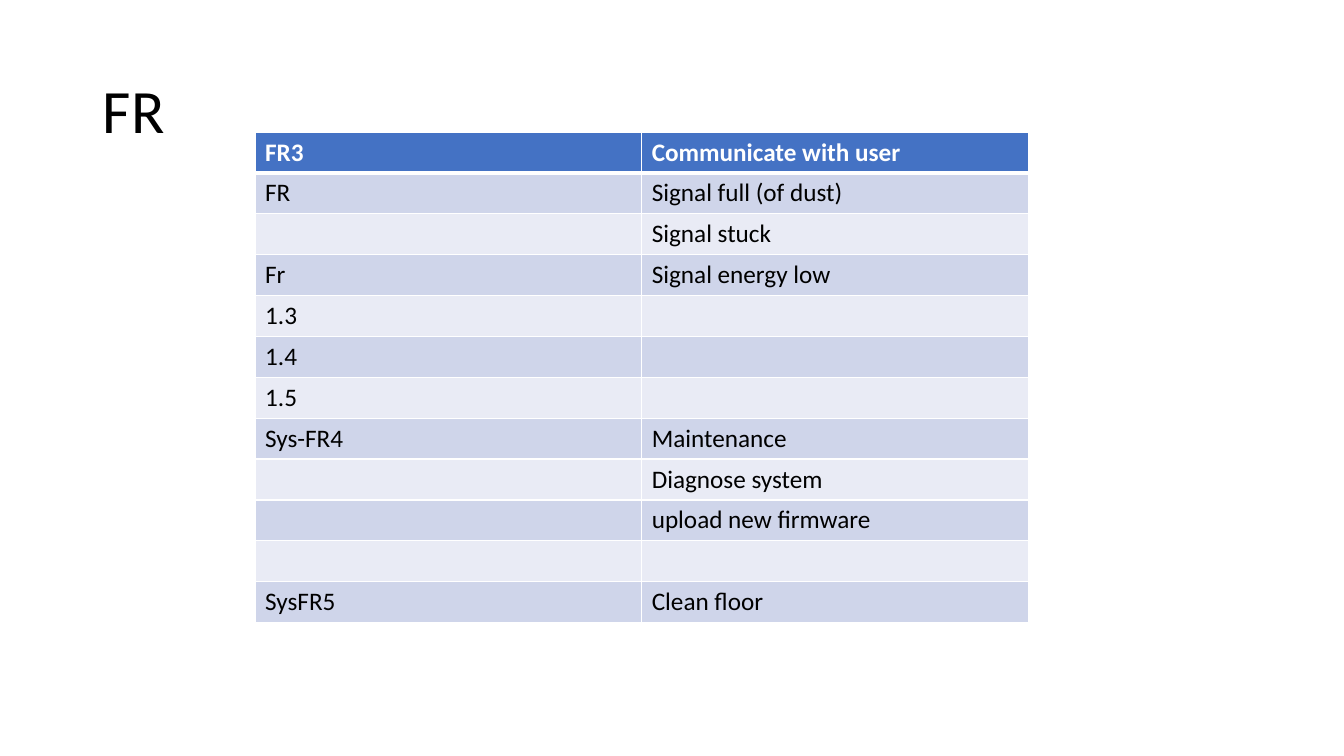
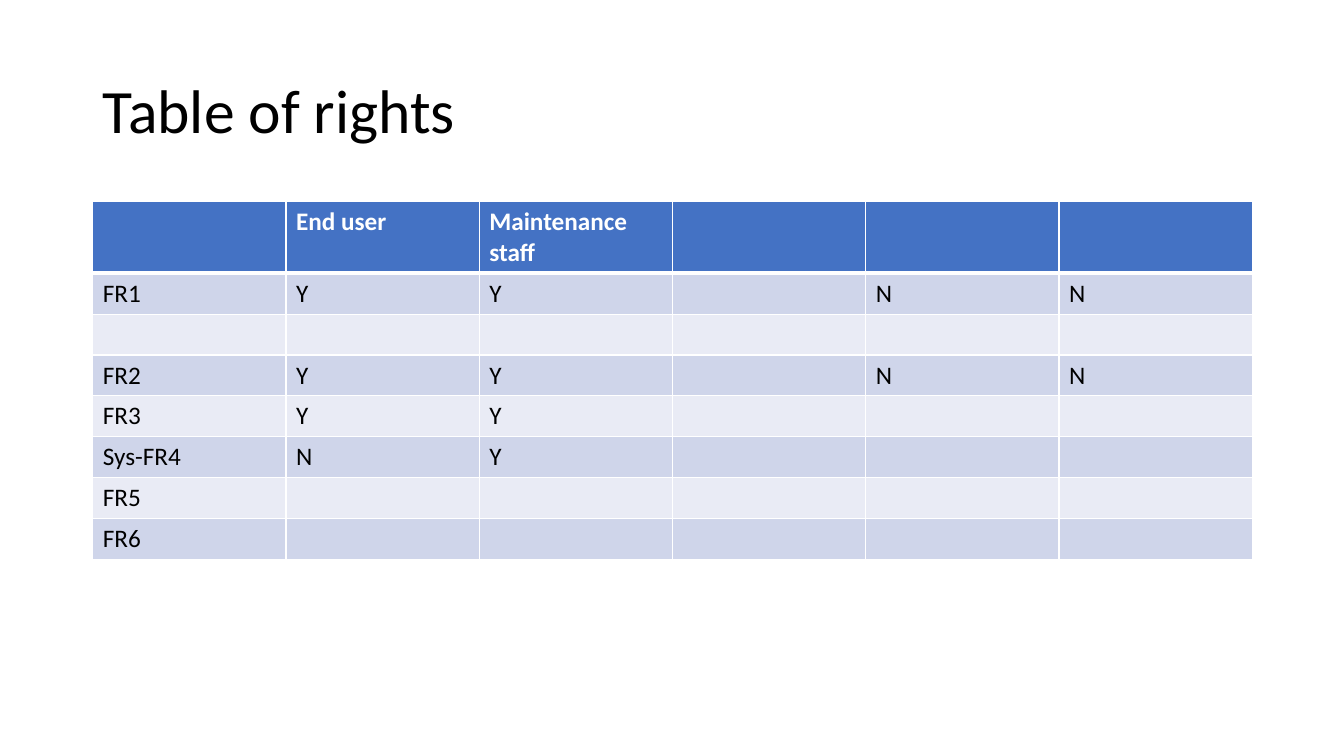
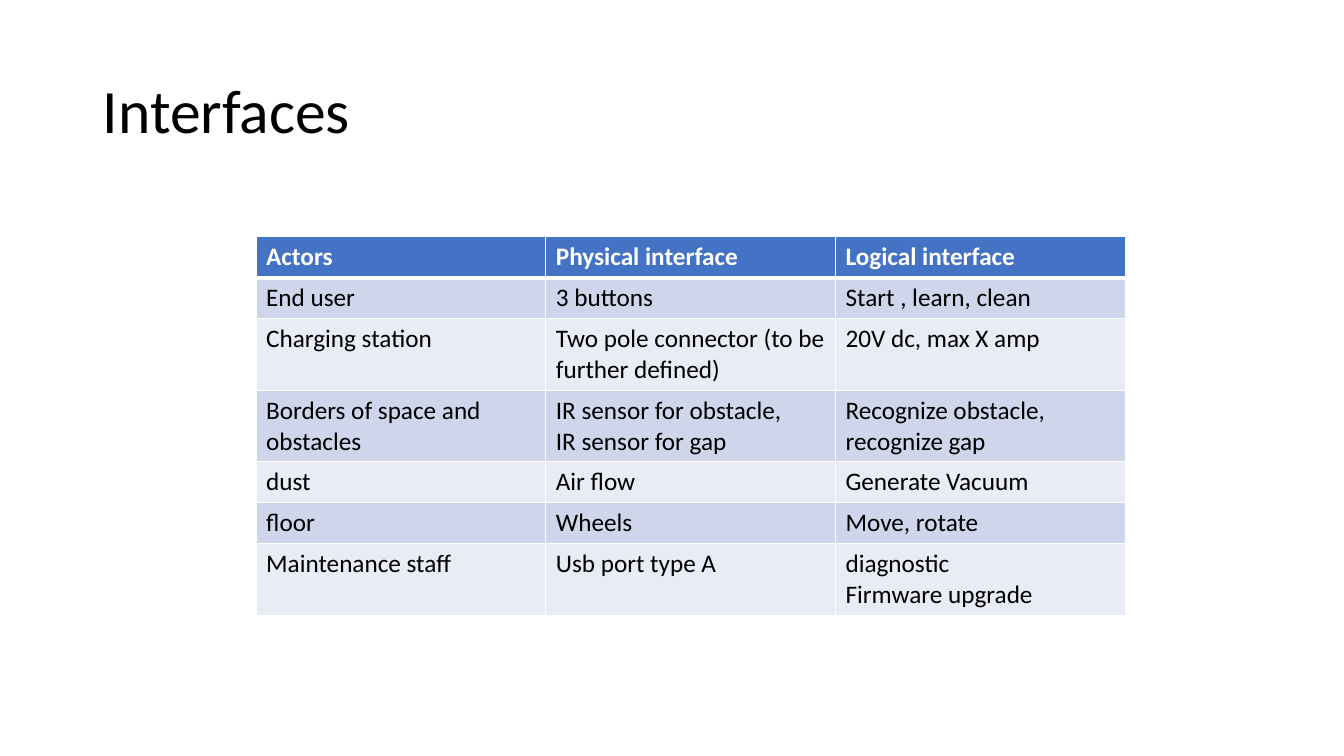
from lxml.etree import SubElement
from pptx import Presentation
from pptx.dml.color import RGBColor
from pptx.enum.text import MSO_ANCHOR, PP_ALIGN
from pptx.oxml.ns import qn
from pptx.util import Inches, Pt

BLACK, WHITE = "000000", "FFFFFF"
HEADER_FILL = "4472C4"
BAND_FILLS = ("CFD5EA", "E9EBF5")
FONT = "Calibri"
TITLE_ONLY = 5
TITLE_FONT = {"name": FONT, "size": Pt(44), "bold": False}
HEADER_FONT = {"name": FONT, "size": Pt(18), "bold": True}
BODY_FONT = {"name": FONT, "size": Pt(18), "bold": False}
TITLE_BOX = {"left": Inches(0.92), "top": Inches(0.4),
             "width": Inches(11.5), "height": Inches(1.45)}
ROW_HEIGHT = Inches(4.87 / 12)
THIN, THICK = Pt(1), Pt(3)

REQUIREMENTS = [
    ("FR3", "Communicate with user"),
    ("FR", "Signal full (of dust)"),
    ("", "Signal stuck"),
    ("Fr", "Signal energy low"),
    ("1.3", ""),
    ("1.4", ""),
    ("1.5", ""),
    ("Sys-FR4", "Maintenance"),
    ("", "Diagnose system"),
    ("", "upload new firmware"),
    ("", ""),
    ("SysFR5", "Clean floor"),
]
RIGHTS = [
    ("", "End user", "Maintenance staff", "", "", ""),
    ("FR1", "Y", "Y", "", "N", "N"),
    ("", "", "", "", "", ""),
    ("FR2", "Y", "Y", "", "N", "N"),
    ("FR3", "Y", "Y", "", "", ""),
    ("Sys-FR4", "N", "Y", "", "", ""),
    ("FR5", "", "", "", "", ""),
    ("FR6", "", "", "", "", ""),
]
INTERFACES = [
    ("Actors", "Physical interface", "Logical interface"),
    ("End user", "3 buttons", "Start , learn, clean"),
    ("Charging station", "Two pole connector (to be further defined)", "20V dc, max X amp"),
    ("Borders of space and obstacles", "IR sensor for obstacle,\nIR sensor for gap",
     "Recognize obstacle, recognize gap"),
    ("dust", "Air flow", "Generate Vacuum"),
    ("floor", "Wheels", "Move, rotate"),
    ("Maintenance staff", "Usb port type A", "diagnostic\nFirmware upgrade"),
]


def color(hex_value):
    return RGBColor.from_string(hex_value)


def set_attributes(target, values):
    for name, value in values.items():
        setattr(target, name, value)


def set_borders(cell, widths):
    """Draw white cell borders; widths maps the sides L, R, T, B in that order."""
    properties = cell._tc.get_or_add_tcPr()
    for side, width in widths.items():
        line = SubElement(properties, qn(f"a:ln{side}"), w=str(int(width)))
        fill = SubElement(line, qn("a:solidFill"))
        SubElement(fill, qn("a:srgbClr"), val=WHITE)


class Deck:
    def __init__(self):
        self.presentation = Presentation()
        set_attributes(self.presentation, {"slide_width": Inches(13.33),
                                           "slide_height": Inches(7.5)})
        self.slide = None

    def add_slide(self, title):
        layout = self.presentation.slide_layouts[TITLE_ONLY]
        self.slide = self.presentation.slides.add_slide(layout)
        shape = self.slide.shapes.title
        set_attributes(shape, TITLE_BOX)
        shape.text_frame.text = title
        shape.text_frame.vertical_anchor = MSO_ANCHOR.MIDDLE
        paragraph = shape.text_frame.paragraphs[0]
        set_attributes(paragraph, {"alignment": PP_ALIGN.LEFT, "line_spacing": 0.9})
        self.format_font(paragraph, TITLE_FONT, BLACK)

    def add_table(self, rows, left, top, width):
        table = self.slide.shapes.add_table(
            len(rows), len(rows[0]), Inches(left), Inches(top),
            Inches(width), ROW_HEIGHT * len(rows)).table
        for row_index, row in enumerate(rows):
            for column_index, text in enumerate(row):
                self.fill_cell(table.cell(row_index, column_index), text, row_index)

    def fill_cell(self, cell, text, row_index):
        is_header = row_index == 0
        set_borders(cell, {"L": THIN, "R": THIN,
                           "T": THICK if row_index == 1 else THIN,
                           "B": THICK if is_header else THIN})
        cell.fill.solid()
        band = BAND_FILLS[(row_index - 1) % len(BAND_FILLS)]
        cell.fill.fore_color.rgb = color(HEADER_FILL if is_header else band)
        cell.text = text
        for paragraph in cell.text_frame.paragraphs:
            self.format_font(paragraph, HEADER_FONT if is_header else BODY_FONT,
                             WHITE if is_header else BLACK)

    def format_font(self, paragraph, font_values, hex_value):
        for target in (paragraph, *paragraph.runs):
            set_attributes(target.font, font_values)
            target.font.color.rgb = color(hex_value)


def main():
    deck = Deck()
    deck.add_slide("FR")
    deck.add_table(REQUIREMENTS, 2.53, 1.31, 7.67)
    deck.add_slide("Table of rights")
    deck.add_table(RIGHTS, 0.92, 2, 11.5)
    deck.add_slide("Interfaces")
    deck.add_table(INTERFACES, 2.54, 2.35, 8.62)
    deck.presentation.save("out.pptx")


if __name__ == "__main__":
    main()
